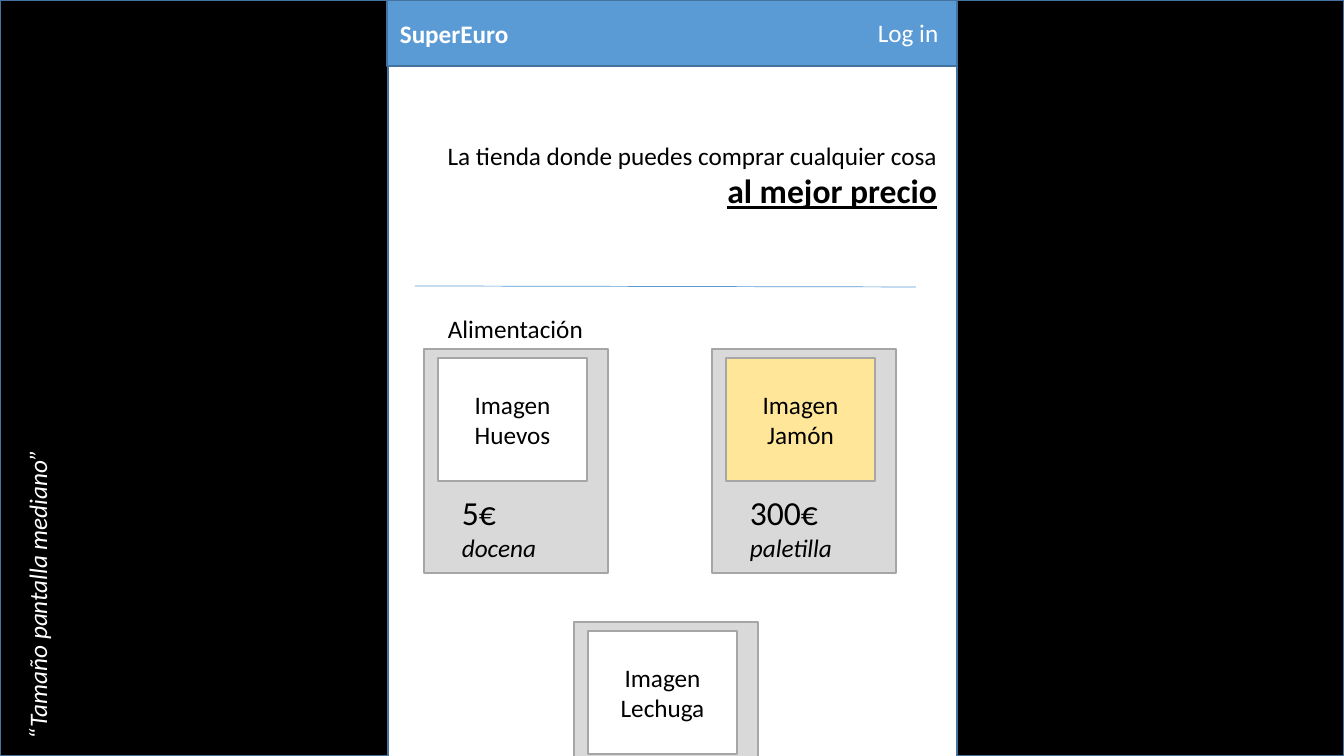
"""Builds the medium-screen wireframe of an online shop."""
from dataclasses import dataclass

from lxml import etree
from pptx import Presentation
from pptx import util as u
from pptx.dml.color import RGBColor
from pptx.enum import shapes, text
from pptx.oxml.ns import qn


@dataclass(frozen=True)
class Theme:
    font: str = "Calibri"
    body: int = 18
    large: int = 24
    black: str = "000000"
    white: str = "FFFFFF"
    blue: str = "5B9BD5"
    outline: str = "43739E"
    card: str = "D9D9D9"
    border: str = "A6A6A6"
    highlight: str = "FFE699"


T = Theme()
W, H = 1344, 756
EMU_PER_PX = 914400 / 100.8
LEFT, CENTER, RIGHT = text.PP_ALIGN.LEFT, text.PP_ALIGN.CENTER, text.PP_ALIGN.RIGHT

PANELS = [
    ((957, 0, 387, H), T.black),
    ((0, 0, 388, H), T.black),
    ((387, 0, 570, 66), T.blue),
]
LABELS = [
    ((-119, 573, 312, 40), [("“Tamaño pantalla mediano”", T.body, "i")], T.white, LEFT, False, 270),
    ((390, 13, 297, 40), [("SuperEuro", T.body, "b")], T.white, LEFT, True, 0),
    ((868, 12, 82, 40), [("Log in", T.body, "")], T.white, LEFT, False, 0),
    ((393, 135, 554, 82), [("La tienda donde puedes comprar cualquier cosa", T.body, ""),
                           ("al mejor precio", T.large, "bu")], T.black, RIGHT, True, 0),
    ((438, 308, 157, 40), [("Alimentación", T.body, "")], T.black, LEFT, False, 0),
]
DIVIDER = (415, 286, 916, 287)
CARD_W, CARD_H = 184, 224
PRODUCTS = [
    (424, 349, "Huevos", T.white, ("5€", "docena"), 97),
    (712, 349, "Jamón", T.highlight, ("300€", "paletilla"), 103),
    (574, 622, "Lechuga", T.white, None, 0),
]


def px(*values):
    return [u.Emu(round(v * EMU_PER_PX)) for v in values]


def rgb(color):
    return RGBColor.from_string(color)


def write(sp, lines, color, align):
    tf = sp.text_frame
    tf.text = "\n".join(line[0] for line in lines)
    for p, (_, size, style) in zip(tf.paragraphs, lines):
        p.alignment = align
        f = p.runs[0].font
        f.name, f.size, f.color.rgb = T.font, u.Pt(size), rgb(color)
        f.bold, f.italic, f.underline = "b" in style, "i" in style, "u" in style


def add_rect(parent, box, fill, line):
    sp = parent.shapes.add_shape(shapes.MSO_SHAPE.RECTANGLE, *px(*box))
    sp.shadow.inherit = False
    sp.fill.solid()
    sp.fill.fore_color.rgb = rgb(fill)
    sp.line.color.rgb = rgb(line)
    sp.line.width = u.Pt(1)
    return sp


def add_label(parent, box, lines, color, align, wrap, rotation):
    sp = parent.shapes.add_textbox(*px(*box))
    sp.rotation = rotation
    sp.text_frame.word_wrap = wrap
    sp.text_frame.auto_size = text.MSO_AUTO_SIZE.SHAPE_TO_FIT_TEXT
    write(sp, lines, color, align)


def add_card(s, x, y, name, fill, offer, offer_w):
    group = s.shapes.add_group_shape()
    add_rect(group, (x, y, CARD_W, CARD_H), T.card, T.border)
    image = add_rect(group, (x + 14, y + 9, 149, 123), fill, T.border)
    image.text_frame.vertical_anchor = text.MSO_ANCHOR.MIDDLE
    write(image, [("Imagen", T.body, ""), (name, T.body, "")], T.black, CENTER)
    if offer:
        price, unit = offer
        add_label(group, (x + 28, y + 138, offer_w, 82),
                  [(price, T.large, ""), (unit, T.body, "i")], T.black, LEFT, False, 0)


prs = Presentation()
prs.slide_width, prs.slide_height = px(W, H)
s = prs.slides.add_slide(prs.slide_layouts[6])
for box, fill in PANELS:
    add_rect(s, box, fill, T.outline)
for label in LABELS:
    add_label(s, *label)
divider = s.shapes.add_connector(shapes.MSO_CONNECTOR.STRAIGHT, *px(*DIVIDER))
divider.line.color.rgb = rgb(T.blue)
divider.line.width = u.Pt(0.5)
etree.SubElement(divider._element.spPr, qn("a:effectLst"))
for product in PRODUCTS:
    add_card(s, *product)
prs.save("out.pptx")
